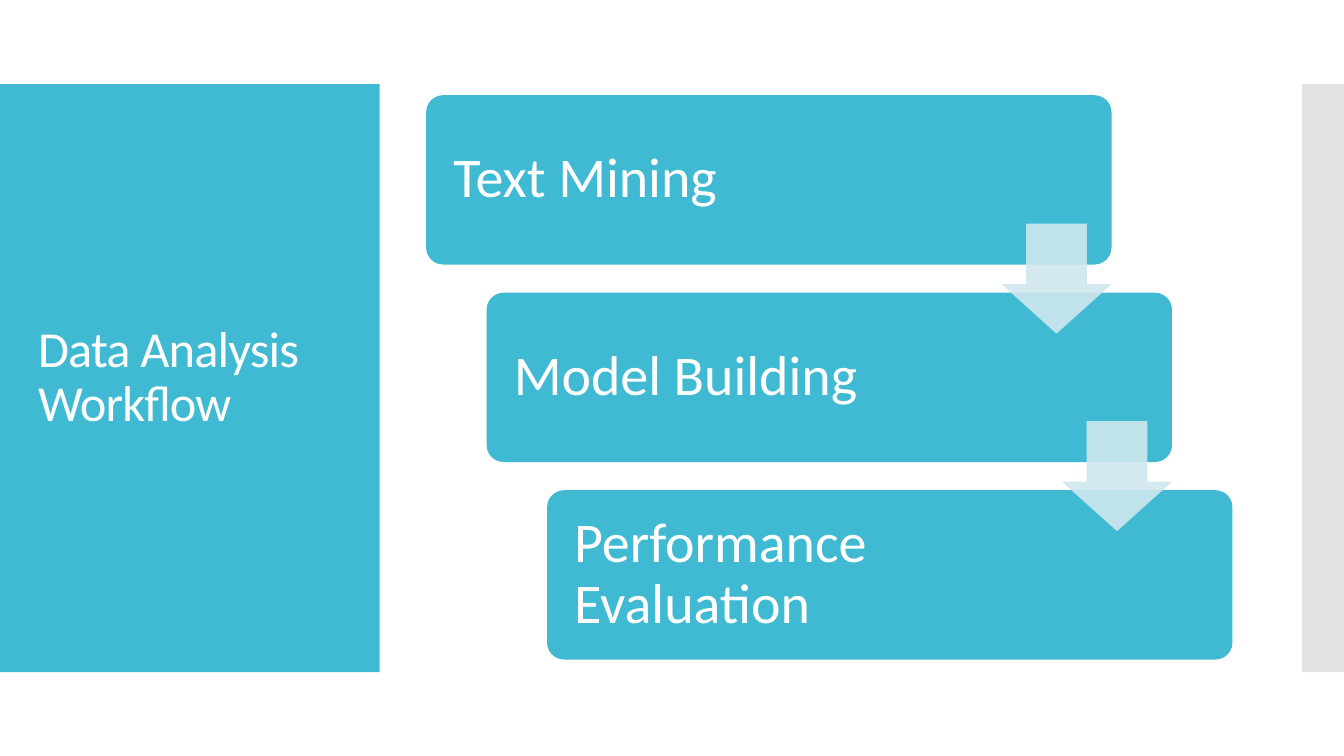
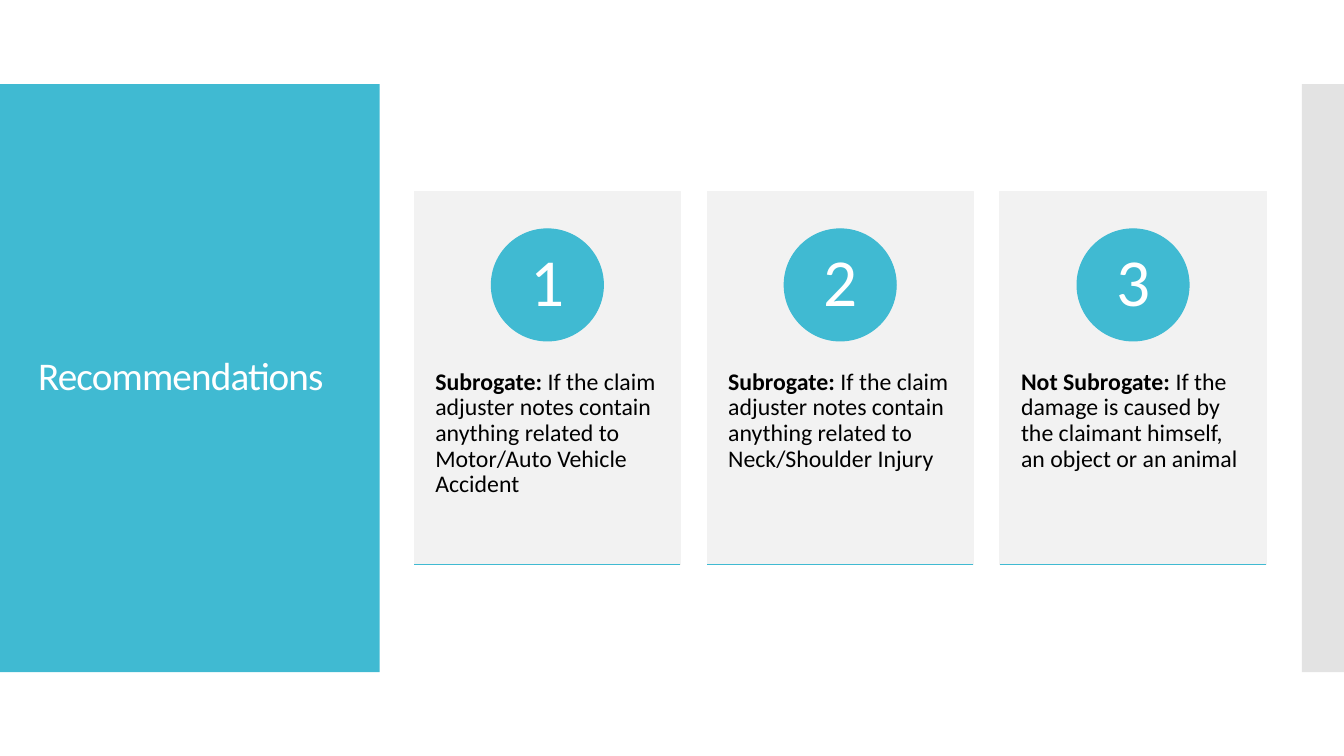
from lxml import etree
from pptx import Presentation
from pptx.dml.color import RGBColor
from pptx.enum.shapes import MSO_CONNECTOR, MSO_SHAPE
from pptx.enum.text import MSO_ANCHOR, PP_ALIGN
from pptx.oxml.ns import qn
from pptx.util import Cm, Pt

RECT, ROUNDED = MSO_SHAPE.RECTANGLE, MSO_SHAPE.ROUNDED_RECTANGLE
OVAL, DOWN_ARROW = MSO_SHAPE.OVAL, MSO_SHAPE.DOWN_ARROW
STRAIGHT = MSO_CONNECTOR.STRAIGHT
TOP, MIDDLE = MSO_ANCHOR.TOP, MSO_ANCHOR.MIDDLE
LEFT, CENTER = PP_ALIGN.LEFT, PP_ALIGN.CENTER

FONT = "Calibri"
TEAL, PALE_TEAL = "40BAD2", "CFE7EE"
GREY, CARD_GREY = "C8C8C8", "F2F2F2"
WHITE, BLACK = "FFFFFF", "000000"

SLIDE_W, SLIDE_H = 33.87, 19.05
BAND_TOP, BAND_H = 2.12, 14.82
PANEL_W, EDGE_W = 9.57, 1.06
HAIRLINE = 0.85

STEPS = ["Text Mining", "Model Building", "Performance Evaluation"]
RECOMMENDATIONS = [
    ("Subrogate:", " If the claim adjuster notes contain anything related to "
                   "Motor/Auto Vehicle Accident"),
    ("Subrogate:", " If the claim adjuster notes contain anything related to "
                   "Neck/Shoulder Injury"),
    ("Not Subrogate: ", "If the damage is caused by the claimant himself, "
                        "an object or an animal"),
]


def rgb(hex_colour):
    return RGBColor.from_string(hex_colour)


def add_box(slide, kind, box, fill, opacity=100, outline=None):
    """Add a flat preset shape at box = (left, top, width, height) in cm."""
    shape = slide.shapes.add_shape(kind, *map(Cm, box))
    shape.shadow.inherit = False
    shape.fill.solid()
    shape.fill.fore_color.rgb = rgb(fill)
    if opacity < 100:
        colour = shape.fill._xPr.find(qn("a:solidFill"))[0]
        etree.SubElement(colour, qn("a:alpha"), val=str(opacity * 1000))
    if outline:
        shape.line.color.rgb = rgb(outline)
        shape.line.width = Pt(HAIRLINE)
    else:
        shape.line.fill.background()
    return shape


def write(shape, parts, size, colour, insets, align=LEFT, anchor=MIDDLE,
          spacing=None):
    """Write one paragraph of text parts; the first of several is bold."""
    frame = shape.text_frame
    frame.word_wrap = True
    frame.vertical_anchor = anchor
    (frame.margin_left, frame.margin_top,
     frame.margin_right, frame.margin_bottom) = map(Cm, insets)
    paragraph = frame.paragraphs[0]
    paragraph.alignment = align
    paragraph.line_spacing = 0.9
    for index, part in enumerate(parts):
        run = paragraph.add_run()
        run.text = part
        run.font.name = FONT
        run.font.size = Pt(size)
        run.font.color.rgb = rgb(colour)
        run.font.bold = len(parts) > 1 and index == 0
        if spacing:
            run.font._element.set("spc", str(spacing))


def add_titled_slide(deck, title, title_size):
    """Add a blank slide with the title panel and the grey edge."""
    slide = deck.slides.add_slide(deck.slide_layouts[6])
    panel = add_box(slide, RECT, (0, BAND_TOP, PANEL_W, BAND_H), TEAL)
    write(panel, [title], title_size, WHITE, (0.96, 0.13, 0.94, 0.13),
          spacing=-60)
    add_box(slide, RECT, (SLIDE_W - EDGE_W, BAND_TOP, EDGE_W, BAND_H), GREY,
            opacity=50)
    return slide


def add_staircase(slide, box, steps):
    """Draw steps descending to the right, with an arrow over each gap."""
    left, top, width, height = box
    step_w, step_h = 0.85 * width, 0.3 * height
    shift = (width - step_w) / (len(steps) - 1)
    drop = (height - step_h) / (len(steps) - 1)
    for index, label in enumerate(steps):
        step = add_box(slide, ROUNDED, (left + index * shift,
                                        top + index * drop, step_w, step_h),
                       TEAL)
        step.adjustments[0] = 0.1
        write(step, [label], 40, WHITE, (0.56, 0.56, 4.9, 0.56))

    arrow_size = 0.65 * step_h
    for index in range(len(steps) - 1):
        right = left + index * shift + step_w
        gap_middle = top + index * drop + (step_h + drop) / 2
        arrow = add_box(slide, DOWN_ARROW,
                        (right - arrow_size, gap_middle - arrow_size / 2,
                         arrow_size, arrow_size), PALE_TEAL, opacity=90)
        arrow.adjustments[0] = 0.45
        arrow.adjustments[1] = 0.55
        # The head length comes first in the drawing order of adjustments.
        arrow.adjustments[0], arrow.adjustments[1] = 0.55, 0.45


def add_card(slide, box, number, parts):
    left, top, width, height = box
    card = add_box(slide, RECT, box, CARD_GREY, outline=CARD_GREY)
    write(card, parts, 17, BLACK, (0.53, 0.38 * height + 0.91, 0.53, 0.5),
          anchor=TOP)

    diameter = 0.3 * height
    badge = add_box(slide, OVAL, (left + (width - diameter) / 2,
                                  top + 0.1 * height, diameter, diameter),
                    TEAL, outline=TEAL)
    write(badge, [str(number)], 48, WHITE, (0.23, 0.03, 0.23, 0.03), CENTER)

    bottom = top + height
    base = slide.shapes.add_connector(
        STRAIGHT, *map(Cm, (left, bottom, left + width, bottom)))
    base.line.color.rgb = rgb(TEAL)
    base.line.width = Pt(HAIRLINE)
    etree.SubElement(base._element.spPr, qn("a:effectLst"))


def add_card_row(slide, box, recommendations):
    """Spread cards over the box with gaps of a tenth of a card."""
    left, top, width, height = box
    count = len(recommendations)
    card_w = width / (count + 0.1 * (count - 1))
    for index, parts in enumerate(recommendations):
        card_left = left + index * 1.1 * card_w
        add_card(slide, (card_left, top, card_w, height), index + 1, parts)


def main():
    deck = Presentation()
    deck.slide_width, deck.slide_height = Cm(SLIDE_W), Cm(SLIDE_H)

    workflow = add_titled_slide(deck, "Data Analysis Workflow", 36)
    add_staircase(workflow, (10.74, 2.4, 20.32, 14.22), STEPS)

    advice = add_titled_slide(deck, "Recommendations", 28)
    add_card_row(advice, (10.44, 4.83, 21.47, 9.4), RECOMMENDATIONS)

    deck.save("out.pptx")


if __name__ == "__main__":
    main()
